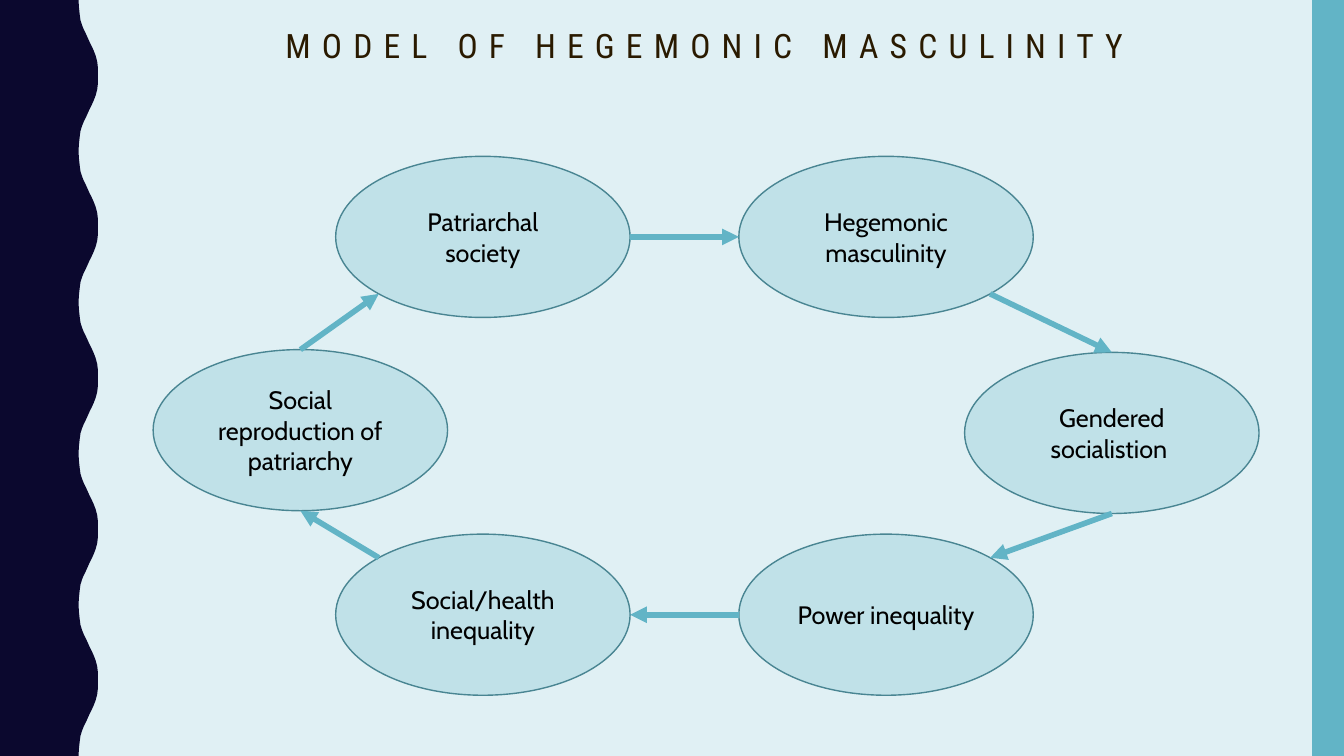
from math import cos, radians, sin

from lxml.etree import SubElement
from pptx import Presentation
from pptx.dml.color import RGBColor
from pptx.enum.shapes import MSO_CONNECTOR as Connector, MSO_SHAPE as Shape
from pptx.enum.text import MSO_ANCHOR as Anchor, PP_ALIGN as Align
from pptx.oxml.ns import qn
from pptx.util import Cm, Pt

PALE_BLUE = RGBColor(0xE0, 0xF0, 0xF4)
NAVY = RGBColor(0x0B, 0x08, 0x2E)
TEAL = RGBColor(0x62, 0xB4, 0xC6)
LIGHT_TEAL = RGBColor(0xC0, 0xE1, 0xE8)
DARK_TEAL = RGBColor(0x49, 0x85, 0x92)
BROWN = RGBColor(0x2A, 0x1A, 0x00)
BLACK = RGBColor(0, 0, 0)

SLIDE_WIDTH, SLIDE_HEIGHT = 33.87, 19.05
OVAL_WIDTH, OVAL_HEIGHT = 7.42, 4.06
WAVE_COUNT = 5
WAVE_LENGTH = SLIDE_HEIGHT / WAVE_COUNT
HALF_WAVE = [
    (1.98, 0), (1.99, 0.18), (2.01, 0.36), (2.03, 0.51), (2.07, 0.64),
    (2.11, 0.74), (2.16, 0.84), (2.21, 0.95), (2.26, 1.06), (2.31, 1.16),
    (2.36, 1.27), (2.41, 1.4), (2.45, 1.55), (2.47, 1.72), (2.47, 1.9),
]

LEFT_COLUMN, RIGHT_COLUMN = 8.46, 18.62
TOP_ROW, BOTTOM_ROW = 3.94, 13.46
STAGES = {
    "Patriarchal society": (LEFT_COLUMN, TOP_ROW),
    "Hegemonic masculinity": (RIGHT_COLUMN, TOP_ROW),
    "Gendered socialistion ": (24.31, 8.88),
    "Power inequality": (RIGHT_COLUMN, BOTTOM_ROW),
    "Social/health inequality": (LEFT_COLUMN, BOTTOM_ROW),
    "Social reproduction of patriarchy": (3.86, 8.81),
}
ARROW_ANGLES = [(0, 180), (45, 270), (90, 315), (180, 0), (225, 90), (270, 135)]


def paint(shape, fill, line=None):
    shape.shadow.inherit = False
    shape.fill.solid()
    shape.fill.fore_color.rgb = fill
    if line is None:
        shape.line.fill.background()
    else:
        shape.line.color.rgb = line
        shape.line.width = Pt(1)


def write(shape, text, font_name, size, color, anchor):
    frame = shape.text_frame
    frame.word_wrap = True
    frame.vertical_anchor = anchor
    paragraph = frame.paragraphs[0]
    paragraph.alignment = Align.CENTER
    run = paragraph.add_run()
    run.text = text
    run.font.name = font_name
    run.font.size = Pt(size)
    run.font.color.rgb = color
    return paragraph


def add_wavy_edge(slide):
    wave = HALF_WAVE + [(x, WAVE_LENGTH - y) for x, y in reversed(HALF_WAVE)]
    outline = [
        (Cm(x), Cm(y + index * WAVE_LENGTH))
        for index in range(WAVE_COUNT)
        for x, y in wave
    ]
    builder = slide.shapes.build_freeform(0, 0)
    builder.add_line_segments(outline + [(0, Cm(SLIDE_HEIGHT))], close=True)
    paint(builder.convert_to_shape(), NAVY)


def add_side_bar(slide):
    bar = slide.shapes.add_shape(
        Shape.RECTANGLE, Cm(33.07), 0, Cm(0.8), Cm(SLIDE_HEIGHT))
    paint(bar, TEAL)


def add_title(slide, text):
    title = slide.shapes.add_textbox(Cm(3.43), Cm(0.33), Cm(28.65), Cm(1.45))
    paragraph = write(title, text, "Roboto Condensed", 24, BROWN, Anchor.BOTTOM)
    paragraph.line_spacing = 0.9
    paragraph.runs[0].font._element.set("spc", "800")


def add_stage(slide, text, left, top):
    oval = slide.shapes.add_shape(
        Shape.OVAL, Cm(left), Cm(top), Cm(OVAL_WIDTH), Cm(OVAL_HEIGHT))
    paint(oval, LIGHT_TEAL, DARK_TEAL)
    write(oval, text, "Cabin", 18, BLACK, Anchor.MIDDLE)
    return oval


def rim_point(oval, angle):
    x = oval.left + oval.width / 2 * (1 + cos(radians(angle)))
    y = oval.top + oval.height / 2 * (1 + sin(radians(angle)))
    return round(x), round(y)


def add_arrow(slide, start, end):
    arrow = slide.shapes.add_connector(Connector.STRAIGHT, *start, *end)
    arrow.line.color.rgb = TEAL
    arrow.line.width = Pt(4)
    SubElement(arrow.line._get_or_add_ln(), qn("a:tailEnd"), type="triangle")
    SubElement(arrow._element.spPr, qn("a:effectLst"))


def main():
    presentation = Presentation()
    presentation.slide_width = Cm(SLIDE_WIDTH)
    presentation.slide_height = Cm(SLIDE_HEIGHT)
    slide = presentation.slides.add_slide(presentation.slide_layouts[6])
    slide.background.fill.solid()
    slide.background.fill.fore_color.rgb = PALE_BLUE

    add_wavy_edge(slide)
    add_side_bar(slide)
    add_title(slide, "MODEL OF HEGEMONIC MASCULINITY")

    ovals = [add_stage(slide, text, *place) for text, place in STAGES.items()]
    next_ovals = ovals[1:] + ovals[:1]
    for source, target, angles in zip(ovals, next_ovals, ARROW_ANGLES):
        add_arrow(slide, rim_point(source, angles[0]), rim_point(target, angles[1]))

    presentation.save("out.pptx")


if __name__ == "__main__":
    main()
